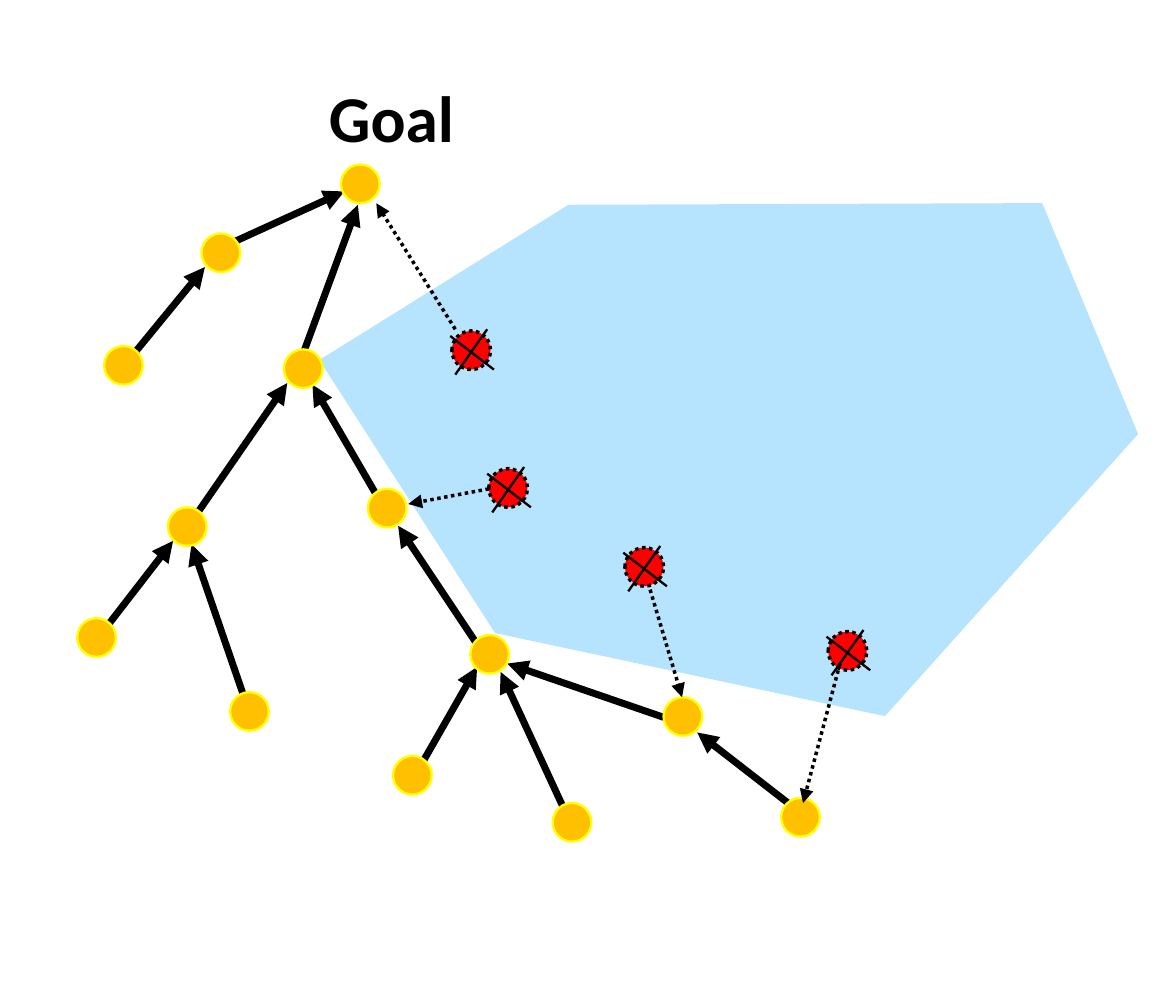
from lxml.etree import SubElement
from pptx import Presentation
from pptx.dml.color import RGBColor
from pptx.enum.dml import MSO_LINE
from pptx.enum.shapes import MSO_CONNECTOR, MSO_SHAPE
from pptx.oxml.ns import qn
from pptx.util import Inches, Pt

WIDE, HIGH = 7, 6
SIZE = 0.23
HUES = {"node": "FFC000", "rim": "FFFF00", "bad": "FF0000",
        "ink": "000000", "block": "B6E4FF"}

BLOCK = [(1.93, 2.15), (2.96, 3.75), (5.26, 4.24),
         (6.75, 2.58), (6.19, 1.23), (3.39, 1.24)]
NODES = [(2.03, 0.98), (1.2, 1.39), (0.62, 2.06), (1.69, 2.08),
         (1, 3.02), (0.46, 3.68), (1.37, 4.12), (2.19, 2.91),
         (2.8, 3.78), (2.34, 4.5), (3.29, 4.78), (3.95, 4.15),
         (4.65, 4.75)]
BAD = [(2.69, 1.97), (2.91, 2.79), (3.72, 3.26), (4.93, 3.76)]
CROSS = [((-0.01, 0.03), (0.25, 0.23)), ((0.21, -0.01), (0.02, 0.26))]
TREE = [
    ((4.82, 4.88), (4.15, 4.36)),
    ((3.95, 4.27), (3.02, 3.95)),
    ((3.35, 4.8), (2.98, 4)),
    ((2.52, 4.53), (2.84, 3.97)),
    ((2.87, 3.88), (2.37, 3.13)),
    ((2.33, 3.1), (1.86, 2.29)),
    ((1.46, 4.17), (1.14, 3.24)),
    ((0.52, 3.88), (1.03, 3.22)),
    ((1.15, 3.09), (1.71, 2.28)),
    ((1.81, 2.09), (2.13, 1.22)),
    ((0.81, 2.09), (1.22, 1.59)),
    ((1.37, 1.45), (2.05, 1.14)),
]
NEAR = [
    ((2.71, 1.96), (2.24, 1.21)),
    ((2.91, 2.91), (2.43, 3)),
    ((3.87, 3.51), (4.06, 4.15)),
    ((5, 3.95), (4.78, 4.78)),
]

deck = Presentation()
deck.slide_width, deck.slide_height = Inches(WIDE), Inches(HIGH)
slide = deck.slides.add_slide(deck.slide_layouts[6])
shapes = slide.shapes


def inch(*spots):
    return [Inches(n) for n in spots]


def hue(name):
    return RGBColor.from_string(HUES[name])


def stroke(line, name, width, dots=False):
    line.color.rgb = hue(name)
    line.width = Pt(width)
    if dots:
        line.dash_style = MSO_LINE.ROUND_DOT


def paint(shape, fill, rim, width, dots=False):
    shape.shadow.inherit = False
    shape.fill.solid()
    shape.fill.fore_color.rgb = hue(fill)
    stroke(shape.line, rim, width, dots)


def link(start, end, width, dots=False, head=True):
    item = shapes.add_connector(MSO_CONNECTOR.STRAIGHT, *inch(*start, *end))
    stroke(item.line, "ink", width, dots)
    if head:
        SubElement(item.line._get_or_add_ln(), qn("a:tailEnd"), type="triangle")
    SubElement(item._element.spPr, qn("a:effectLst"))


def disc(spot, fill, rim, width, dots=False):
    box = inch(*spot, SIZE, SIZE)
    item = shapes.add_shape(MSO_SHAPE.FLOWCHART_CONNECTOR, *box)
    paint(item, fill, rim, width, dots)


def area(spots, fill):
    first, *rest = [inch(*spot) for spot in spots]
    pen = shapes.build_freeform(*first)
    pen.add_line_segments(rest, close=True)
    item = pen.convert_to_shape()
    paint(item, fill, fill, 3)
    SubElement(item.line._get_or_add_ln(), qn("a:miter"), lim="800000")


def write(text, box, size, font, color, bold=False):
    frame = shapes.add_textbox(*inch(*box)).text_frame
    frame.word_wrap = True
    run = frame.paragraphs[0].add_run()
    run.text = text
    run.font.size, run.font.name, run.font.bold = Pt(size), font, bold
    run.font.color.rgb = hue(color)


area(BLOCK, "block")

for start, end in TREE:
    link(start, end, 3)

write("Goal", (1.86, 0.41, 1.05, 0.57), size=28, font="Calibri",
      color="ink", bold=True)

for spot in NODES:
    disc(spot, "node", "rim", 1)

for x, y in BAD:
    disc((x, y), "bad", "ink", 1.5, dots=True)
    for (a, b), (c, d) in CROSS:
        link((x + a, y + b), (x + c, y + d), 1, head=False)

for start, end in NEAR:
    link(start, end, 1.5, dots=True)

deck.save("out.pptx")
